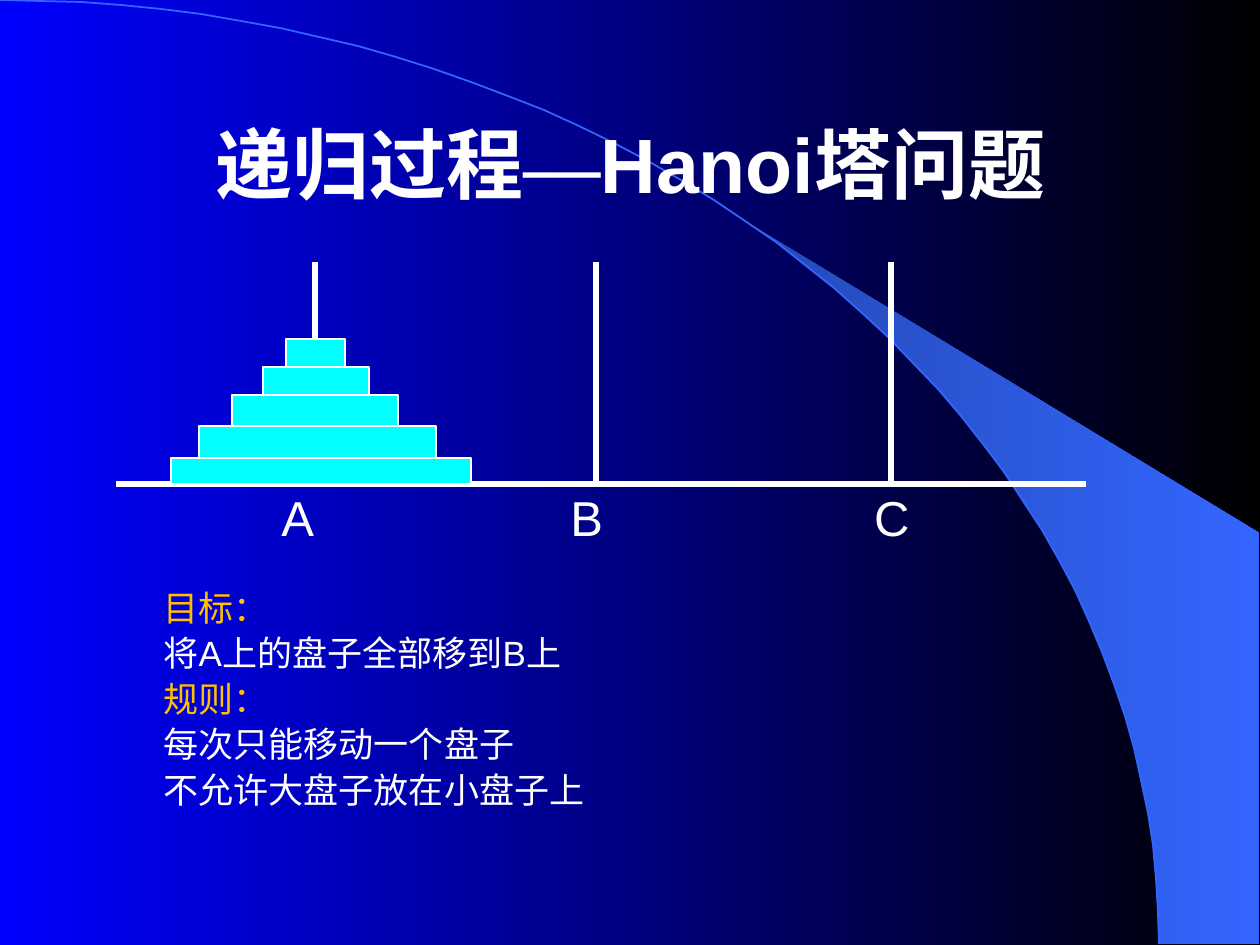
import math

from lxml import etree
from pptx import Presentation
from pptx import util as u
from pptx.dml.color import RGBColor
from pptx.enum import lang, shapes, text
from pptx.oxml.ns import qn

PX = 914400 // 126
COLORS = {
    "white": "FFFFFF",
    "gold": "FFC000",
    "disk": "00FFFF",
    "sky_left": "0000FF",
    "sky_right": "000000",
    "curve": "3366FF",
    "wedge_dark": "2449B6",
}
ARC_WIDTH, ARC_HEIGHT = 1159, 944
BASE_Y = 484
PEG_TOP = 262
PEGS = (315, 596, 891)
DISKS = ((171, 300, 26), (199, 237, 32), (232, 166, 31), (263, 106, 28), (286, 59, 28))
LABEL_CENTRES = {"A": 298, "B": 587, "C": 892}
RULES = (
    ("目标：", "gold"),
    ("将A上的盘子全部移到B上", "white"),
    ("规则：", "gold"),
    ("每次只能移动一个盘子", "white"),
    ("不允许大盘子放在小盘子上", "white"),
)


def px(*lengths):
    return [length * PX for length in lengths]


def rgb(name):
    return RGBColor.from_string(COLORS[name])


def fill_gradient(fill, start, end):
    """Blend two colours from left to right."""
    fill.gradient()
    fill.gradient_angle = 0
    for stop, name, position in zip(fill.gradient_stops, (start, end), (0, 1)):
        stop.color.rgb = rgb(name)
        stop.position = position


def set_line(line, name, points):
    line.color.rgb = rgb(name)
    line.width = u.Pt(points)


def arc_points(first_degree):
    """Points of the quarter ellipse, from first_degree down to the slide's foot."""
    angles = [math.radians(d) for d in range(first_degree, 91, 2)]
    return [
        (round(ARC_WIDTH * math.sin(a)), round(ARC_HEIGHT * (1 - math.cos(a))))
        for a in angles
    ]


def add_outline(slide, points, close):
    builder = slide.shapes.build_freeform(*points[0], scale=PX)
    builder.add_line_segments(points[1:], close=close)
    outline = builder.convert_to_shape()
    outline.shadow.inherit = False
    return outline


def add_backdrop(slide):
    fill_gradient(slide.background.fill, "sky_left", "sky_right")
    wedge = add_outline(slide, arc_points(40) + [(1259, 944), (1259, 533)], True)
    fill_gradient(wedge.fill, "wedge_dark", "curve")
    wedge.line.fill.background()
    curve = add_outline(slide, arc_points(0), False)
    curve.fill.background()
    set_line(curve.line, "curve", 1)


def add_run(paragraph, words, size, color, font="Arial", bold=False):
    run = paragraph.add_run()
    run.text = words
    run.font.size = u.Pt(size)
    run.font.bold = bold
    run.font.name = font
    run.font.color.rgb = rgb(color)
    run.font.language_id = lang.MSO_LANGUAGE_ID.SIMPLIFIED_CHINESE
    east_asian = etree.Element(qn("a:ea"), typeface=font)
    run.font._element.find(qn("a:latin")).addnext(east_asian)


def place(placeholder, left, top, width, height):
    """Position a placeholder and bring it in front of what is drawn so far."""
    placeholder.left, placeholder.top, placeholder.width, placeholder.height = px(
        left, top, width, height
    )
    placeholder.element.getparent().append(placeholder.element)
    return placeholder.text_frame


def write_title(slide):
    frame = place(slide.shapes.title, 95, 84, 1071, 158)
    frame.vertical_anchor = text.MSO_ANCHOR.MIDDLE
    frame.auto_size = text.MSO_AUTO_SIZE.NONE
    heading = frame.paragraphs[0]
    heading.alignment = text.PP_ALIGN.CENTER
    add_run(heading, "递归过程", 44, "white", bold=True)
    add_run(heading, "—", 44, "white", font="Times New Roman", bold=True)
    add_run(heading, "Hanoi塔问题", 44, "white", bold=True)


def write_rules(slide):
    frame = place(slide.placeholders[1], 151, 580, 970, 242)
    frame.auto_size = text.MSO_AUTO_SIZE.SHAPE_TO_FIT_TEXT
    for index, (words, color) in enumerate(RULES):
        rule = frame.add_paragraph() if index else frame.paragraphs[0]
        rule.space_before = u.Pt(2)
        properties = rule._p.get_or_add_pPr()
        properties.set("marL", "0")
        properties.set("indent", "0")
        etree.SubElement(properties, qn("a:buNone"))
        add_run(rule, words, 20, color)


def add_rod(slide, x1, y1, x2, y2):
    rod = slide.shapes.add_connector(
        shapes.MSO_CONNECTOR.STRAIGHT, *px(x1, y1, x2, y2)
    )
    set_line(rod.line, "white", 3)
    etree.SubElement(rod.element.spPr, qn("a:effectLst"))


def add_disk(slide, left, top, width, height):
    disk = slide.shapes.add_shape(
        shapes.MSO_SHAPE.RECTANGLE, *px(left, top, width, height)
    )
    disk.shadow.inherit = False
    disk.fill.solid()
    disk.fill.fore_color.rgb = rgb("disk")
    set_line(disk.line, "white", 1)


def add_peg_labels(slide):
    """One line of text whose letters sit on centred tab stops."""
    left = 232
    box = slide.shapes.add_textbox(*px(left, 481, 786, 72))
    box.text_frame.word_wrap = True
    labels = box.text_frame.paragraphs[0]
    tabs = etree.SubElement(labels._p.get_or_add_pPr(), qn("a:tabLst"))
    text_start = left * PX + box.text_frame.margin_left
    for centre in LABEL_CENTRES.values():
        etree.SubElement(
            tabs, qn("a:tab"), pos=str(centre * PX - text_start), algn="ctr"
        )
    add_run(labels, "".join("\t" + name for name in LABEL_CENTRES), 28, "white")


def add_tower(slide):
    add_rod(slide, 116, BASE_Y, 1086, BASE_Y)
    for x in PEGS:
        add_rod(slide, x, PEG_TOP, x, BASE_Y)
    top = BASE_Y
    for left, width, height in DISKS:
        top -= height
        add_disk(slide, left, top, width, height)
    add_peg_labels(slide)


def main():
    deck = Presentation()
    deck.slide_width, deck.slide_height = px(1260, 945)
    slide = deck.slides.add_slide(deck.slide_layouts[1])
    add_backdrop(slide)
    write_title(slide)
    write_rules(slide)
    add_tower(slide)
    deck.save("out.pptx")


if __name__ == "__main__":
    main()
